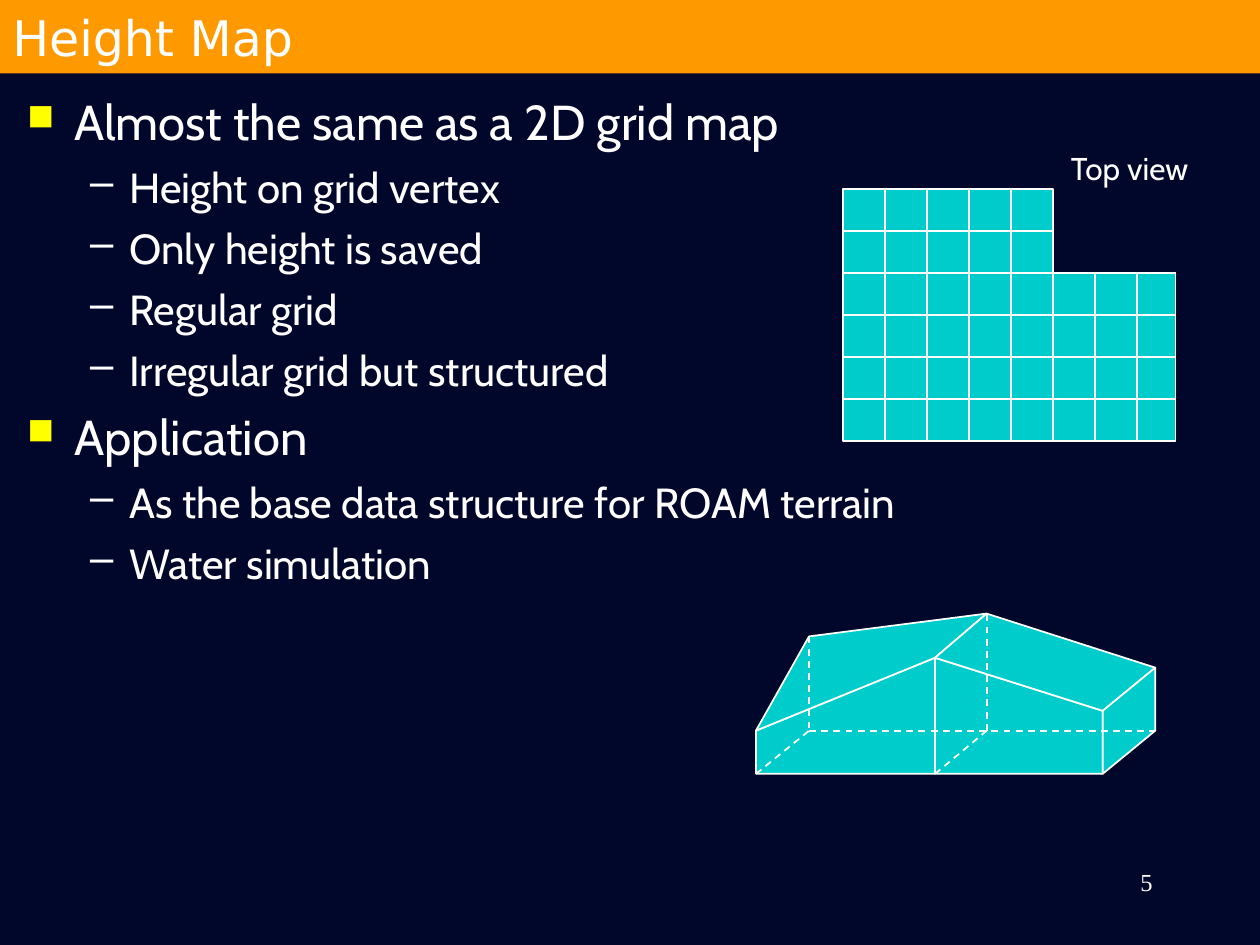
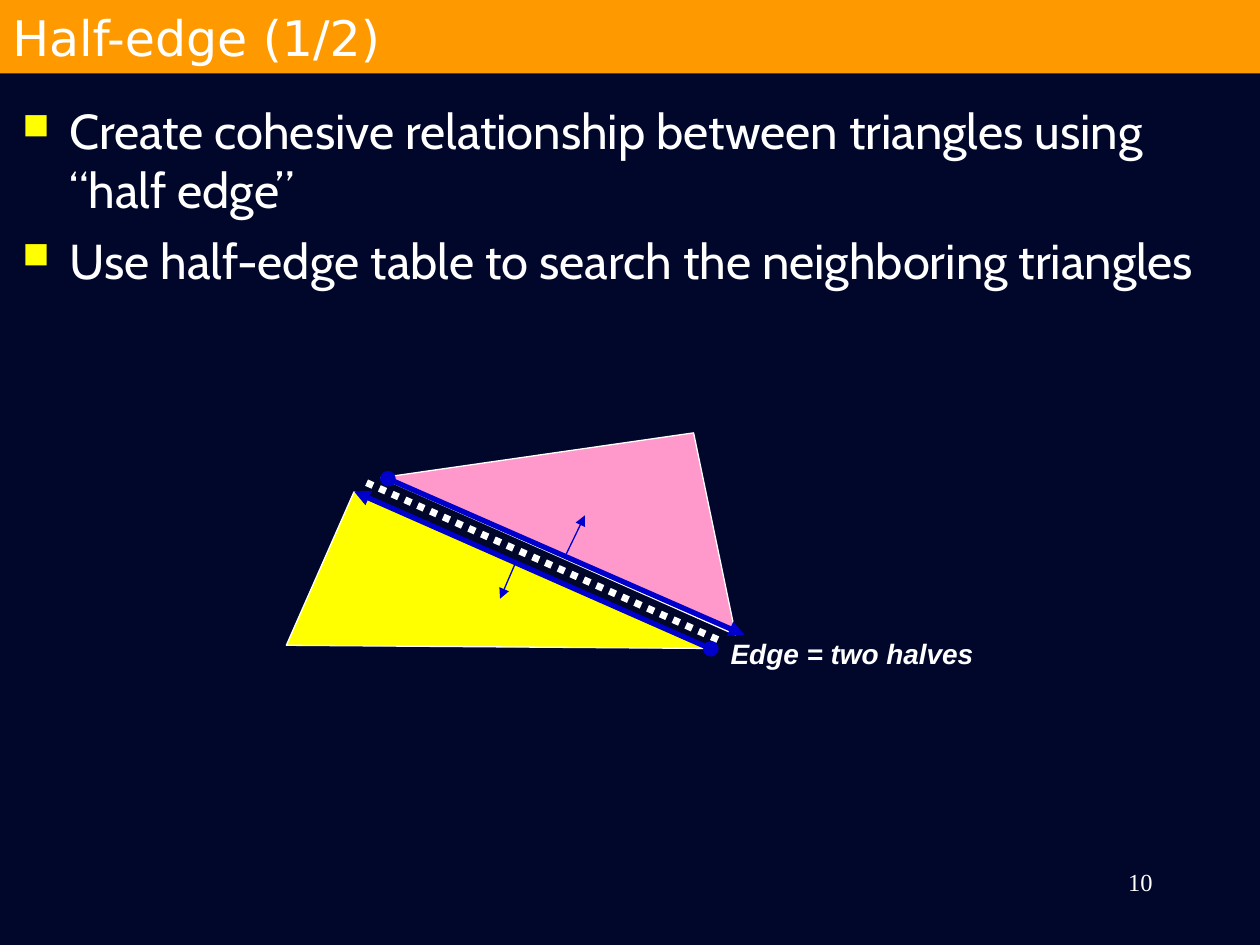
from typing import NamedTuple

from lxml.etree import SubElement
from pptx import Presentation
from pptx.dml.color import RGBColor
from pptx.enum.dml import MSO_LINE_DASH_STYLE as Dash
from pptx.enum.shapes import MSO_CONNECTOR_TYPE as ConnectorType
from pptx.enum.shapes import MSO_SHAPE as ShapeType
from pptx.enum.text import MSO_ANCHOR as Anchor
from pptx.enum.text import MSO_AUTO_SIZE as AutoSize
from pptx.enum.text import PP_ALIGN as Align
from pptx.oxml.ns import qn
from pptx.util import Cm, Pt

COLORS = {
    "background": "00072A",
    "band": "FF9900",
    "text": "FFFFFF",
    "bullet": "FFFF00",
    "terrain": "00CCCC",
    "grid": "FFFFFF",
    "upper": "FF99CC",
    "lower": "FFFF00",
    "half_edge": "0000CC",
}
BODY_FONT = "Cabin"
TITLE_FONT = "DejaVu Sans"
NUMBER_FONT = "Times New Roman"
LABEL_FONT = "Arial"

Point = tuple[float, float]


class Box(NamedTuple):
    left: float
    top: float
    width: float
    height: float


class BulletStyle(NamedTuple):
    size: int
    space: int
    margin: float
    hanging: float
    character: str
    color: str
    percent: int


class Line(NamedTuple):
    start: Point
    end: Point
    color: str = "grid"
    width: float = 1
    dash: Dash | None = None
    head: str | None = None
    tail: str | None = None


class Triangle(NamedTuple):
    box: Box
    rotation: float
    apex: float
    color: str


BULLETS = [
    BulletStyle(28, 7, 0.95, 0.95, "■", "bullet", 75),
    BulletStyle(24, 6, 2.06, 0.79, "–", "text", 100),
]


def color(name: str) -> RGBColor:
    return RGBColor.from_string(COLORS[name])


def lengths(values) -> list[Cm]:
    return [Cm(value) for value in values]


def style_font(paragraph, name: str, size: float) -> None:
    font = paragraph.font
    font.name, font.size = name, Pt(size)
    font.color.rgb = color("text")


def style_shape(shape, fill: str, line_width: float = 0) -> None:
    shape.shadow.inherit = False
    shape.fill.solid()
    shape.fill.fore_color.rgb = color(fill)
    if line_width:
        shape.line.color.rgb = color("grid")
        shape.line.width = Pt(line_width)
    else:
        shape.line.fill.background()


def add_text(slide, box: Box, text: str, font: str, size: float, wrap: bool = True):
    shape = slide.shapes.add_textbox(*lengths(box))
    frame = shape.text_frame
    frame.word_wrap = wrap
    frame.auto_size = AutoSize.NONE if wrap else AutoSize.SHAPE_TO_FIT_TEXT
    paragraph = frame.paragraphs[0]
    paragraph.text = text
    style_font(paragraph, font, size)
    return paragraph


def add_bullet_mark(paragraph, style: BulletStyle) -> None:
    properties = paragraph._p.get_or_add_pPr()
    properties.set("marL", str(Cm(style.margin)))
    properties.set("indent", str(-Cm(style.hanging)))
    bullet_color = SubElement(properties, qn("a:buClr"))
    SubElement(bullet_color, qn("a:srgbClr"), val=COLORS[style.color])
    SubElement(properties, qn("a:buSzPct"), val=str(style.percent * 1000))
    SubElement(properties, qn("a:buChar"), char=style.character)


def add_body(slide, box: Box, items: list[tuple[int, str]]) -> None:
    frame = slide.shapes.add_textbox(*lengths(box)).text_frame
    frame.word_wrap = True
    for index, (level, text) in enumerate(items):
        paragraph = frame.add_paragraph() if index else frame.paragraphs[0]
        style = BULLETS[level]
        paragraph.text = text
        paragraph.level = level
        paragraph.space_before = Pt(style.space)
        add_bullet_mark(paragraph, style)
        style_font(paragraph, BODY_FONT, style.size)


def add_line(slide, line: Line) -> None:
    connector = slide.shapes.add_connector(
        ConnectorType.STRAIGHT, *lengths(line.start + line.end)
    )
    connector.line.color.rgb = color(line.color)
    connector.line.width = Pt(line.width)
    if line.dash:
        connector.line.dash_style = line.dash
    outline = connector.line._get_or_add_ln()
    for tag, arrow in (("a:headEnd", line.head), ("a:tailEnd", line.tail)):
        if arrow:
            SubElement(outline, qn(tag), type=arrow)
    SubElement(connector._element.spPr, qn("a:effectLst"))


def add_polygon(slide, points: list[Point], fill: str) -> None:
    start, *others = [tuple(lengths(point)) for point in points]
    builder = slide.shapes.build_freeform(*start)
    builder.add_line_segments(others, close=True)
    style_shape(builder.convert_to_shape(), fill, 1)


def add_triangle(slide, triangle: Triangle) -> None:
    shape = slide.shapes.add_shape(
        ShapeType.ISOSCELES_TRIANGLE, *lengths(triangle.box)
    )
    shape.adjustments[0] = triangle.apex
    shape.rotation = triangle.rotation
    style_shape(shape, triangle.color, 0.75)


def add_slide(presentation, title: str, number: int):
    """Blank slide with background, title band and slide number."""
    slide = presentation.slides.add_slide(presentation.slide_layouts[6])
    slide.background.fill.solid()
    slide.background.fill.fore_color.rgb = color("background")

    band = slide.shapes.add_shape(ShapeType.RECTANGLE, *lengths(Box(0, 0, 25.4, 1.48)))
    style_shape(band, "band")
    band.text_frame.vertical_anchor = Anchor.MIDDLE
    paragraph = band.text_frame.paragraphs[0]
    paragraph.text = title
    paragraph.alignment = Align.LEFT
    style_font(paragraph, TITLE_FONT, 28)

    paragraph = add_text(slide, Box(18.21, 17.35, 5.28, 1.27), str(number), NUMBER_FONT, 14)
    paragraph.alignment = Align.RIGHT
    paragraph.space_before = Pt(8.8)
    return slide


def add_top_view(slide) -> None:
    """L-shaped grid, with the upper right corner cut out."""
    left, top, right, cell = 16.99, 3.81, 23.7, 5.08 / 6
    rows, columns, notch_row, notch_column = 6, 8, 2, 5
    bottom = top + rows * cell
    notch_x, notch_y = left + notch_column * cell, top + notch_row * cell
    add_polygon(
        slide,
        [(left, top), (notch_x, top), (notch_x, notch_y),
         (right, notch_y), (right, bottom), (left, bottom)],
        "terrain",
    )
    for row in range(1, rows):
        y = top + row * cell
        add_line(slide, Line((left, y), (notch_x if row < notch_row else right, y)))
    for column in range(1, columns):
        x = left + column * cell
        add_line(slide, Line((x, top if column < notch_column else notch_y), (x, bottom)))
    add_text(slide, Box(21.34, 2.87, 3.15, 1.02), "Top view", BODY_FONT, 18, wrap=False)


def add_terrain_block(slide) -> None:
    """Solid below six height samples: three in front, three behind."""
    front_left, front_ridge, front_right = (15.24, 14.73), (18.85, 13.26), (22.23, 14.33)
    back_left, back_ridge, back_right = (16.31, 12.83), (19.89, 12.37), (23.29, 13.46)
    front_base, back_base = 15.6, 14.73

    def foot(vertex: Point, base: float) -> Point:
        return vertex[0], base

    left_foot, ridge_foot, right_foot = [
        foot(vertex, front_base) for vertex in (front_left, front_ridge, front_right)
    ]
    back_left_foot, back_ridge_foot, back_right_foot = [
        foot(vertex, back_base) for vertex in (back_left, back_ridge, back_right)
    ]
    faces = [
        [front_ridge, front_left, left_foot, right_foot, front_right],
        [front_left, back_left, back_ridge, front_ridge],
        [back_ridge, front_ridge, front_right, back_right],
        [back_right, front_right, right_foot, back_right_foot],
    ]
    for face in faces:
        add_polygon(slide, face, "terrain")
    add_line(slide, Line(front_ridge, ridge_foot))
    hidden_edges = [
        (left_foot, back_left_foot),
        (back_left_foot, back_right_foot),
        (ridge_foot, back_ridge_foot),
        (back_left, back_left_foot),
        (back_ridge_foot, back_ridge),
    ]
    for start, end in hidden_edges:
        add_line(slide, Line(start, end, dash=Dash.DASH))


def build_height_map(presentation) -> None:
    slide = add_slide(presentation, "Height Map", 5)
    add_body(slide, Box(0.3, 1.73, 24.77, 10.77), [
        (0, "Almost the same as a 2D grid map"),
        (1, "Height on grid vertex"),
        (1, "Only height is saved"),
        (1, "Regular grid"),
        (1, "Irregular grid but structured"),
        (0, "Application"),
        (1, "As the base data structure for ROAM terrain"),
        (1, "Water simulation"),
    ])
    add_top_view(slide)
    add_terrain_block(slide)


def build_half_edge(presentation) -> None:
    slide = add_slide(presentation, "Half-edge (1/2)", 10)
    add_body(slide, Box(0.2, 1.91, 25.2, 7.01), [
        (0, "Create cohesive relationship between triangles using “half edge”"),
        (0, "Use half-edge table to search the neighboring triangles"),
    ])

    # Two triangles that share an edge
    add_triangle(slide, Triangle(Box(8.03, 7.98, 7.82, 3.38), 23.9, 0.69, "upper"))
    add_triangle(slide, Triangle(Box(6.12, 11.35, 7.82, 3.38), 203.8, 1, "lower"))

    # Shared edge, its two halves and their normals
    half_edge = "half_edge"
    for line in (
        Line((7.39, 9.73), (14.55, 12.93), width=4, dash=Dash.ROUND_DOT),
        Line((14.33, 13.08), (7.14, 9.91), half_edge, 3, head="oval", tail="triangle"),
        Line((7.82, 9.65), (15.01, 12.8), half_edge, 3, head="oval", tail="triangle"),
        Line((11.4, 11.2), (11.79, 10.39), half_edge, 0.75, tail="triangle"),
        Line((10.39, 11.35), (10.08, 12.07), half_edge, 0.75, tail="triangle"),
    ):
        add_line(slide, line)
    label = add_text(
        slide, Box(14.48, 12.7, 5.41, 0.94), "Edge = two halves", LABEL_FONT, 16, wrap=False
    )
    label.font.bold = label.font.italic = True


def main() -> None:
    presentation = Presentation()
    presentation.slide_width, presentation.slide_height = Cm(25.4), Cm(19.05)
    build_height_map(presentation)
    build_half_edge(presentation)
    presentation.save("out.pptx")


if __name__ == "__main__":
    main()
